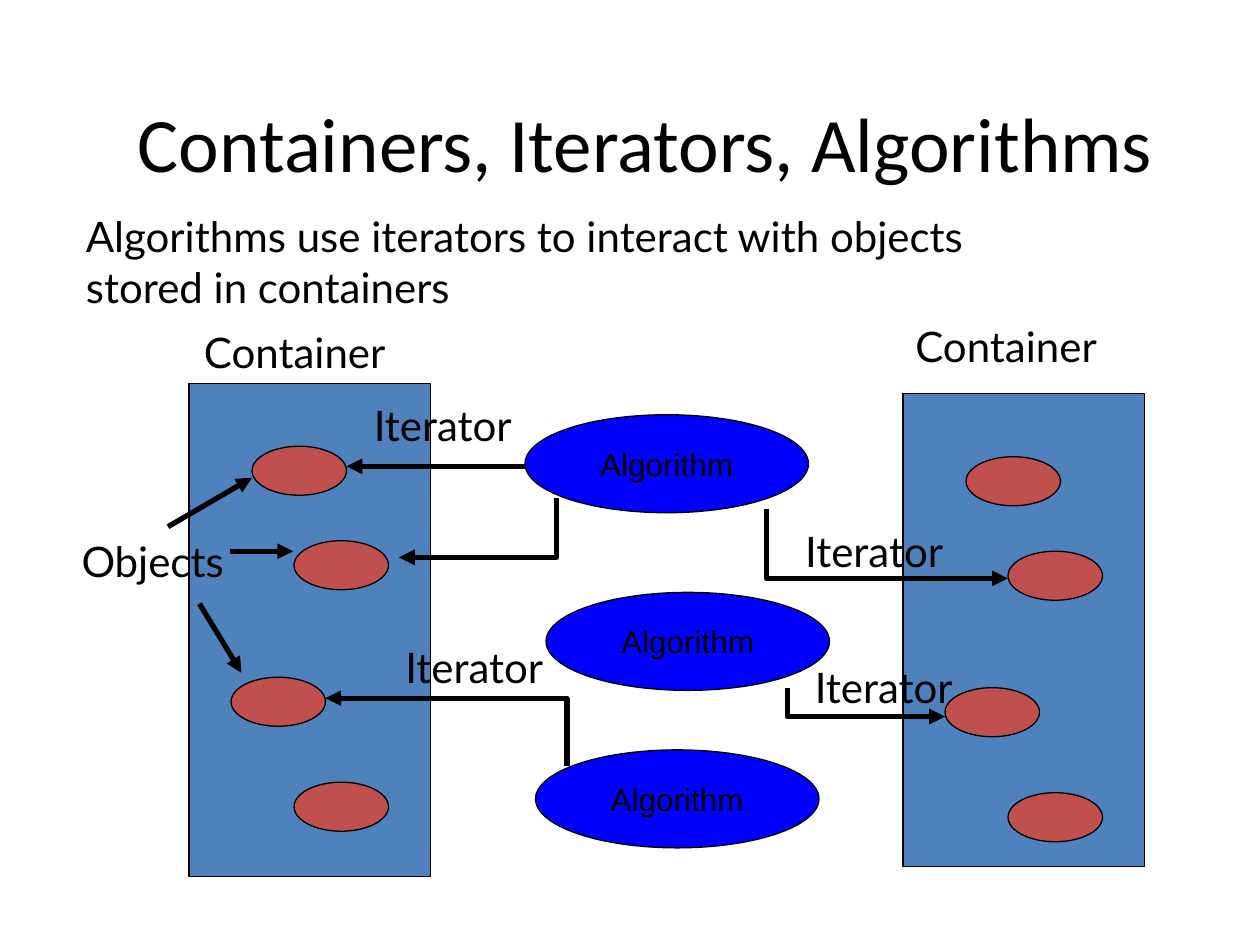
from lxml import etree
from pptx import Presentation
from pptx.dml.color import RGBColor
from pptx.enum.shapes import MSO_CONNECTOR, MSO_SHAPE
from pptx.enum.text import MSO_ANCHOR, PP_ALIGN
from pptx.oxml.ns import qn
from pptx.util import Pt

RECT, OVAL = MSO_SHAPE.RECTANGLE, MSO_SHAPE.OVAL
STRAIGHT = MSO_CONNECTOR.STRAIGHT
LEFT, CENTER = PP_ALIGN.LEFT, PP_ALIGN.CENTER
TOP, MIDDLE = MSO_ANCHOR.TOP, MSO_ANCHOR.MIDDLE
COLORS = {"ink": "000000", "container": "4F81BD", "object": "C0504D", "algorithm": "0000FF"}


def rgb(name):
    """Return the named colour."""
    return RGBColor.from_string(COLORS[name])


def write(sp, text, size=24, font="Lato", align=LEFT, anchor=TOP, wrap=False):
    """Fill a shape with formatted text, one paragraph a line."""
    tf = sp.text_frame
    tf.word_wrap = wrap
    tf.vertical_anchor = anchor
    for i, line in enumerate(text.split("\n")):
        p = tf.add_paragraph() if i else tf.paragraphs[0]
        p.alignment = align
        r = p.add_run()
        r.text = line
        r.font.size = Pt(size)
        r.font.name = font
        r.font.color.rgb = rgb("ink")


def add_label(s, text, x, y, w, h, **fmt):
    """Add a text box."""
    write(s.shapes.add_textbox(Pt(x), Pt(y), Pt(w), Pt(h)), text, **fmt)


def add_block(s, kind, x, y, w, h, color):
    """Add a filled, thinly outlined shape."""
    sp = s.shapes.add_shape(kind, Pt(x), Pt(y), Pt(w), Pt(h))
    sp.shadow.inherit = False
    sp.fill.solid()
    sp.fill.fore_color.rgb = rgb(color)
    sp.line.color.rgb = rgb("ink")
    sp.line.width = Pt(0.75)
    return sp


def add_container(s, x, y, w, h, label_x, label_y):
    """Draw a container with its objects and its label."""
    add_block(s, RECT, x, y, w, h, "container")
    for dx, dy in [(36, 36), (60, 90), (24, 168), (60, 228)]:
        add_block(s, OVAL, x + dx, y + dy, 54, 28, "object")
    add_label(s, "Container", x + label_x, y + label_y, 125, 36)


def add_algorithm(s, x, y, w, h):
    """Draw an algorithm ellipse."""
    sp = add_block(s, OVAL, x, y, w, h, "algorithm")
    write(sp, "Algorithm", size=18, font="Arial", align=CENTER, anchor=MIDDLE)


def add_arrow(s, *points):
    """Draw a straight or bent arrow through the points."""
    pts = [(Pt(x), Pt(y)) for x, y in points]
    if len(pts) == 2:
        sp = s.shapes.add_connector(STRAIGHT, *pts[0], *pts[1])
    else:
        fb = s.shapes.build_freeform(*pts[0])
        fb.add_line_segments(pts[1:], close=False)
        sp = fb.convert_to_shape()
        sp.fill.background()
    sp.line.color.rgb = rgb("ink")
    sp.line.width = Pt(3)
    ln = sp.line._get_or_add_ln()
    etree.SubElement(ln, qn("a:tailEnd"), type="triangle")
    etree.SubElement(sp._element.spPr, qn("a:effectLst"))


def add_header(s, x, y, w, h):
    """Write the title and the statement below it."""
    add_label(s, "Containers, Iterators, Algorithms", x, y, w, h,
              size=44, font="Calibri", align=CENTER, anchor=MIDDLE, wrap=True)
    add_label(s, "Algorithms use iterators to interact with objects\nstored in containers",
              x + 12, y + 81, 552, 65)


def add_iterators(s, x, y):
    """Draw the iterator arrows and their labels."""
    for points in [
        [(102, 30), (0, 30)],
        [(120, 48), (120, 82), (30, 82)],
        [(240, 54.5), (240, 94), (378, 94)],
        [(126, 201.5), (126, 162.5), (-12, 162.5)],
        [(252, 156.5), (252, 173), (342, 173)],
    ]:
        add_arrow(s, *[(x + dx, y + dy) for dx, dy in points])
    for dx, dy in [(8.5, -11.5), (26.5, 126.5), (255, 60.5), (260.5, 138)]:
        add_label(s, "Iterator", x + dx, y + dy, 101, 36)


def add_objects_note(s, x, y):
    """Label the objects and point at three of them."""
    add_label(s, "Objects", x, y, 99, 36)
    for start, end in [((92, 12.5), (128, 12.5)), ((74.5, 42.5), (98.5, 82)),
                       ((56.5, -1.5), (104.5, -29.5))]:
        add_arrow(s, *[(x + dx, y + dy) for dx, dy in (start, end)])


def main():
    """Build and save the slide."""
    prs = Presentation()
    prs.slide_width, prs.slide_height = Pt(720), Pt(540)
    s = prs.slides.add_slide(prs.slide_layouts[6])
    add_header(s, 30, 36, 678, 90)
    add_container(s, 108, 219, 138, 282, 1.5, -36)
    add_container(s, 516, 225, 138, 270, 0, -45.5)
    for x, y in [(300, 237), (312, 338.5), (306, 428.5)]:
        add_algorithm(s, x, y, 162, 56)
    add_iterators(s, 198, 236.5)
    add_objects_note(s, 39.5, 302.5)
    prs.save("out.pptx")


if __name__ == "__main__":
    main()
